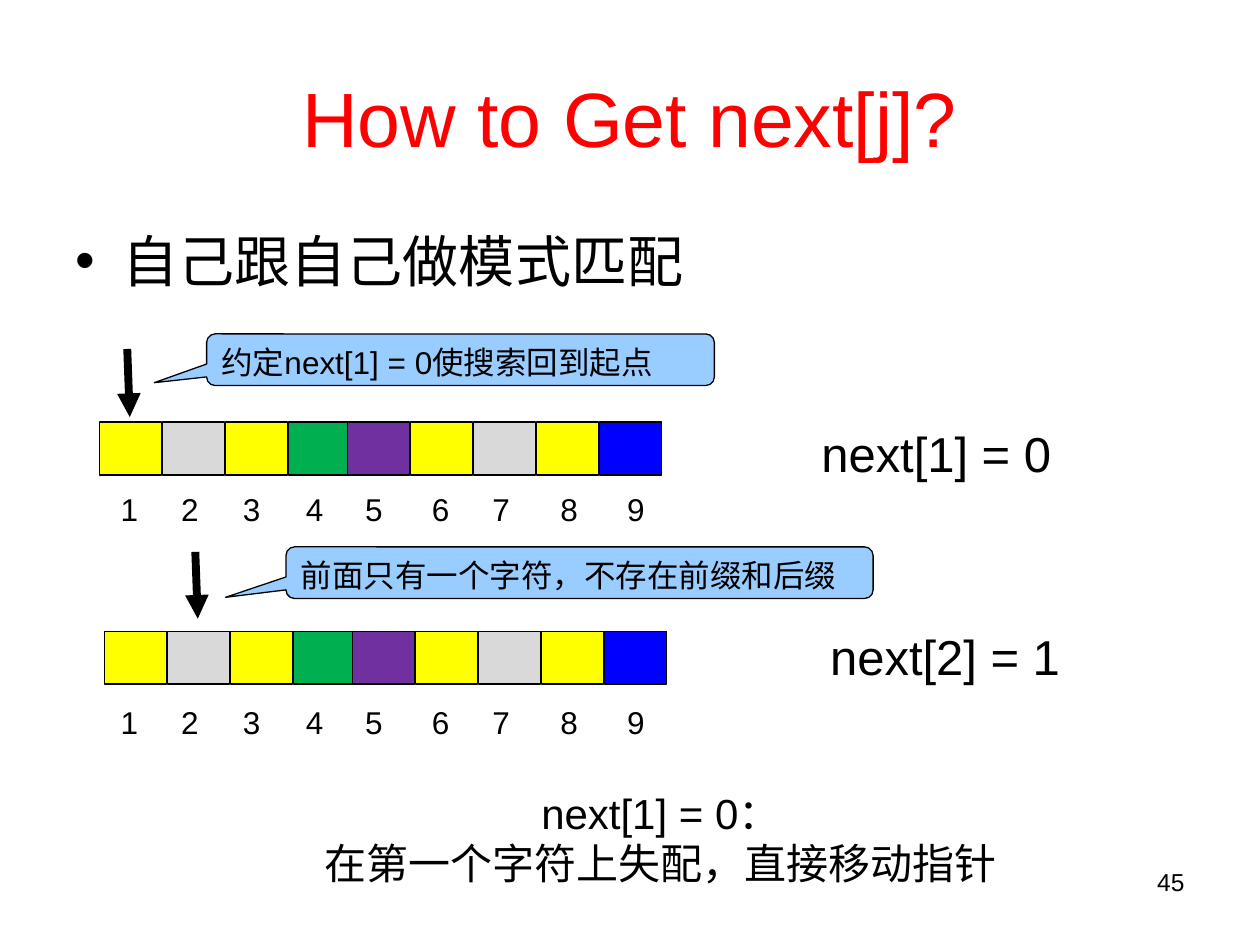
from dataclasses import dataclass

from lxml import etree
from pptx import Presentation
from pptx.dml.color import RGBColor
from pptx.enum.shapes import MSO_CONNECTOR, MSO_SHAPE
from pptx.enum.text import MSO_ANCHOR, MSO_AUTO_SIZE, PP_ALIGN
from pptx.oxml.ns import qn
from pptx.util import Inches, Pt

RECT = MSO_SHAPE.RECTANGLE
CALLOUT = MSO_SHAPE.ROUNDED_RECTANGULAR_CALLOUT
STRAIGHT = MSO_CONNECTOR.STRAIGHT
LEFT, CENTER, RIGHT = PP_ALIGN.LEFT, PP_ALIGN.CENTER, PP_ALIGN.RIGHT
TOP, MIDDLE = MSO_ANCHOR.TOP, MSO_ANCHOR.MIDDLE
NO_FIT = MSO_AUTO_SIZE.NONE


@dataclass(frozen=True)
class Theme:
    font: str = "Arial"
    ink: str = "000000"
    title: str = "FF0000"
    callout: str = "99CCFF"
    yellow: str = "FFFF00"
    gray: str = "D9D9D9"
    green: str = "00B050"
    purple: str = "7030A0"
    blue: str = "0000FF"
    title_size: int = 44
    body_size: int = 32
    value_size: int = 28
    note_size: int = 24
    label_size: int = 18
    number_size: int = 14
    thin: float = 0.75
    thick: float = 4.5


T = Theme()
PATTERN = (T.yellow, T.gray, T.yellow, T.green, T.purple,
           T.yellow, T.gray, T.yellow, T.blue)
CELL_OFFSETS = (0, 0.5, 1, 1.5, 1.97, 2.47, 2.97, 3.47, 3.97)
LABEL_OFFSETS = (0, 0.48, 0.97, 1.47, 1.94, 2.47, 2.95, 3.49, 4.02)


def write(tf, text, size, color=T.ink, align=LEFT, anchor=TOP, wrap=False):
    tf.text = text
    tf.word_wrap = wrap
    tf.auto_size = NO_FIT
    tf.vertical_anchor = anchor
    for p in tf.paragraphs:
        p.alignment = align
        for r in p.runs:
            r.font.name = T.font
            r.font.size = Pt(size)
            r.font.color.rgb = RGBColor.from_string(color)


def place(sp, box):
    sp.left, sp.top, sp.width, sp.height = map(Inches, box)


def add_text(s, box, text, size, **style):
    sp = s.shapes.add_textbox(*map(Inches, box))
    write(sp.text_frame, text, size, **style)


def add_box(s, kind, box, fill):
    sp = s.shapes.add_shape(kind, *map(Inches, box))
    sp.shadow.inherit = False
    sp.fill.solid()
    sp.fill.fore_color.rgb = RGBColor.from_string(fill)
    sp.line.color.rgb = RGBColor.from_string(T.ink)
    sp.line.width = Pt(T.thin)
    return sp


def add_heading(s, title_box, body_box):
    title, body = s.placeholders
    place(title, title_box)
    write(title.text_frame, "How to Get next[j]?", T.title_size,
          color=T.title, align=CENTER, anchor=MIDDLE, wrap=True)
    place(body, body_box)
    write(body.text_frame, "自己跟自己做模式匹配", T.body_size, wrap=True)


def add_cells(s, box):
    x, y, w, h = box
    for dx, fill in zip(CELL_OFFSETS, PATTERN):
        add_box(s, RECT, (x + dx, y, w, h), fill)


def add_labels(s, box):
    x, y, w, h = box
    for i, dx in enumerate(LABEL_OFFSETS, 1):
        add_text(s, (x + dx, y, w, h), str(i), T.label_size)


def add_pointer(s, box):
    x, y, w, h = box
    c = s.shapes.add_connector(STRAIGHT, *map(Inches, (x, y, x + w, y + h)))
    c.line.color.rgb = RGBColor.from_string(T.ink)
    c.line.width = Pt(T.thick)
    etree.SubElement(c.line._get_or_add_ln(), qn("a:tailEnd"), type="triangle")
    etree.SubElement(c._element.spPr, qn("a:effectLst"))


def add_callout(s, box, text, tip_y):
    sp = add_box(s, CALLOUT, box, T.callout)
    for i, value in enumerate((-0.603, tip_y, 0.167)):
        sp.adjustments[i] = value
    write(sp.text_frame, text, T.label_size)


def add_step(s, cells, labels, pointer, value, callout):
    add_cells(s, cells)
    add_labels(s, labels)
    add_pointer(s, pointer)
    add_text(s, *value, T.value_size)
    add_callout(s, *callout)


def main():
    prs = Presentation()
    prs.slide_width, prs.slide_height = Inches(10), Inches(7.5)
    s = prs.slides.add_slide(prs.slide_layouts[1])

    add_heading(s, (0.5, 0.3, 9, 1.25), (0.5, 1.75, 9, 4.95))
    add_step(
        s,
        cells=(0.79, 3.35, 0.49, 0.42),
        labels=(0.86, 3.84, 0.34, 0.4),
        pointer=(1.01, 2.77, 0.02, 0.54),
        value=((6.42, 3.31, 2.05, 0.57), "next[1] = 0"),
        callout=((1.64, 2.65, 4.03, 0.41),
                 "约定next[1] = 0使搜索回到起点", 0.445),
    )
    add_step(
        s,
        cells=(0.83, 5.01, 0.49, 0.42),
        labels=(0.86, 5.53, 0.34, 0.4),
        pointer=(1.55, 4.38, 0.02, 0.53),
        value=((6.49, 4.92, 2.05, 0.57), "next[2] = 1"),
        callout=((2.27, 4.34, 4.66, 0.41),
                 "前面只有一个字符，不存在前缀和后缀", 0.477),
    )
    add_text(s, (2.45, 6.2, 5.59, 0.91),
             "next[1] = 0：\n在第一个字符上失配，直接移动指针",
             T.note_size, align=CENTER)
    add_text(s, (7.17, 6.83, 2.33, 0.52), "45", T.number_size,
             align=RIGHT, wrap=True)
    prs.save("out.pptx")


if __name__ == "__main__":
    main()
